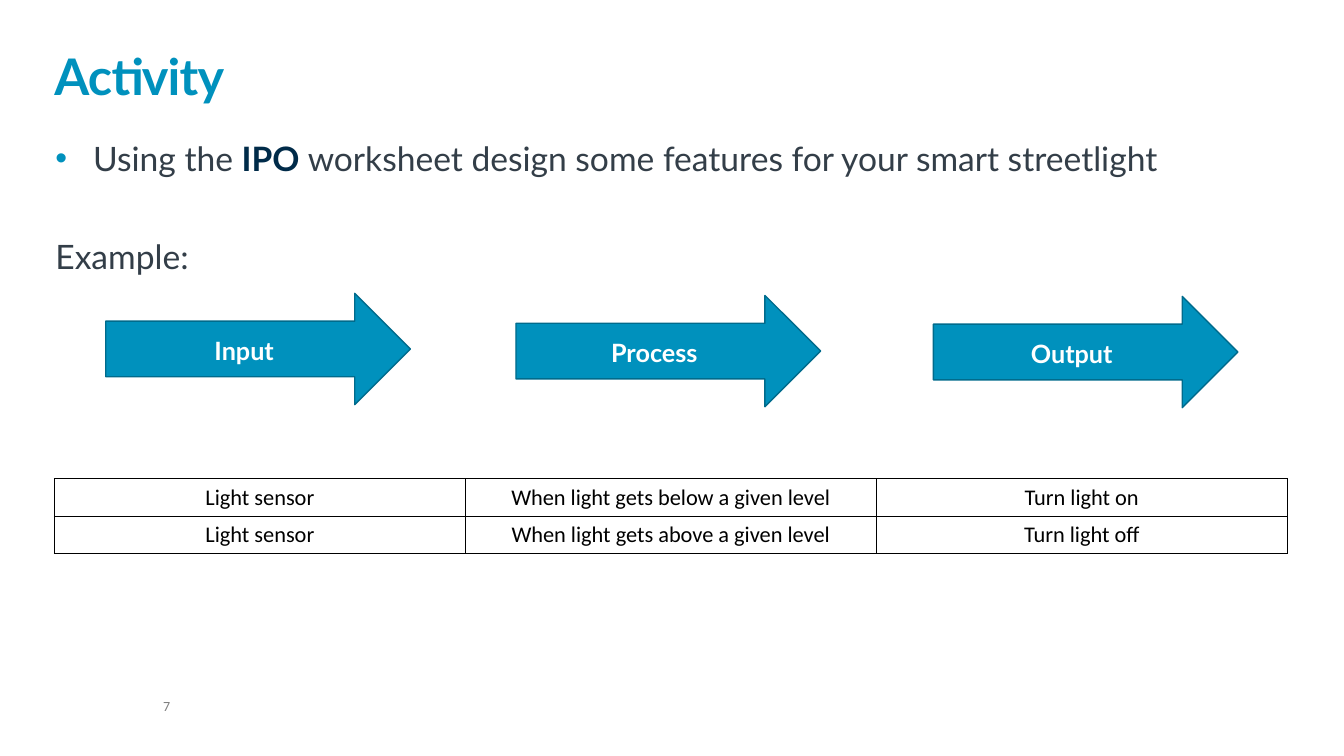
import pptx
import pptx.dml.color
import pptx.enum.shapes
import pptx.enum.text
import pptx.oxml
import pptx.oxml.ns
import pptx.util

Pt = pptx.util.Pt
RGBColor = pptx.dml.color.RGBColor
PP_ALIGN = pptx.enum.text.PP_ALIGN
MSO_ANCHOR = pptx.enum.text.MSO_ANCHOR

BLUE = RGBColor(0x00, 0x91, 0xBD)
DARK_BLUE = RGBColor(0x00, 0x6B, 0x8C)
NAVY = RGBColor(0x00, 0x2B, 0x49)
SLATE = RGBColor(0x33, 0x3E, 0x48)
GRAY = RGBColor(0x7F, 0x7F, 0x7F)
BLACK = RGBColor(0, 0, 0)
WHITE = RGBColor(0xFF, 0xFF, 0xFF)

ARROWS = [("Input", 75.6, 209.5), ("Process", 368.6, 211), ("Output", 666.7, 211.7)]
ROWS = [
    ("Light sensor", "When light gets below a given level", "Turn light on"),
    ("Light sensor", "When light gets above a given level", "Turn light off"),
]


def add_xml(parent, xml):
    ns = pptx.oxml.ns.nsdecls("a")
    parent.append(pptx.oxml.parse_xml(xml.replace(">", f" {ns}>", 1)))


def add_run(p, text, size=24, font="Lato", color=SLATE, bold=False, spacing=None):
    """Spacing is in hundredths of a point."""
    r = p.add_run()
    r.text = text
    r.font.size = Pt(size)
    r.font.name = font
    r.font.color.rgb = color
    r.font.bold = bold
    if spacing is not None:
        r.font._element.set("spc", str(spacing))
    return r


def add_bullet(p, indent, color):
    pPr = p._p.get_or_add_pPr()
    pPr.set("marL", str(Pt(indent)))
    pPr.set("indent", str(-Pt(indent)))
    add_xml(pPr, f'<a:buClr><a:srgbClr val="{color}"/></a:buClr>')
    add_xml(pPr, '<a:buFont typeface="Arial"></a:buFont>')
    add_xml(pPr, '<a:buChar char="•"></a:buChar>')


class SlideBuilder:
    def __init__(self, prs):
        self.s = prs.slides.add_slide(prs.slide_layouts[6])

    def text_box(self, x, y, w, h, anchor=MSO_ANCHOR.TOP):
        tf = self.s.shapes.add_textbox(Pt(x), Pt(y), Pt(w), Pt(h)).text_frame
        tf.word_wrap = True
        tf.vertical_anchor = anchor
        tf.margin_left = tf.margin_right = tf.margin_top = tf.margin_bottom = 0
        return tf

    def arrow(self, text, x, y):
        kind = pptx.enum.shapes.MSO_SHAPE.RIGHT_ARROW
        sp = self.s.shapes.add_shape(kind, Pt(x), Pt(y), Pt(217.6), Pt(79.5))
        sp.shadow.inherit = False
        sp.fill.solid()
        sp.fill.fore_color.rgb = BLUE
        sp.line.color.rgb = DARK_BLUE
        sp.line.width = Pt(1)
        tf = sp.text_frame
        tf.word_wrap = True
        tf.vertical_anchor = MSO_ANCHOR.MIDDLE
        p = tf.paragraphs[0]
        p.alignment = PP_ALIGN.CENTER
        p.line_spacing = 1.07
        p.space_after = Pt(8)
        add_run(p, text, size=18, color=WHITE, bold=True)

    def table(self, rows, x, y, w, row_height):
        frame = self.s.shapes.add_table(len(rows), len(rows[0]), Pt(x), Pt(y),
                                        Pt(w), Pt(row_height * len(rows)))
        table = frame.table
        table.first_row = table.horz_banding = False
        for i, texts in enumerate(rows):
            table.rows[i].height = Pt(row_height)
            for j, text in enumerate(texts):
                self.cell(table.cell(i, j), text)

    def cell(self, cell, text):
        p = cell.text_frame.paragraphs[0]
        p.alignment = PP_ALIGN.CENTER
        add_run(p, text, size=16, font="Calibri", color=BLACK)
        tcPr = cell._tc.get_or_add_tcPr()
        for side in ("lnL", "lnR", "lnT", "lnB"):
            add_xml(tcPr, f'<a:{side} w="{Pt(1)}"><a:solidFill><a:srgbClr val="{BLACK}"/>'
                          f'</a:solidFill></a:{side}>')
        cell.fill.background()


def main():
    prs = pptx.Presentation()
    prs.slide_width, prs.slide_height = Pt(960), Pt(540)
    slide = SlideBuilder(prs)

    p = slide.text_box(116.6, 499.7, 85.7, 10.8).paragraphs[0]
    p.line_spacing = 0.9
    add_run(p, "7", size=10, font="Calibri", color=GRAY)

    p = slide.text_box(38.9, 23, 880.6, 52.6, MSO_ANCHOR.BOTTOM).paragraphs[0]
    p.line_spacing = 0.85
    add_run(p, "Activity", size=36, color=BLUE, bold=True, spacing=-50)

    body = slide.text_box(39.6, 98.6, 880.6, 343.4)
    p = body.paragraphs[0]
    add_bullet(p, 27, BLUE)
    add_run(p, "Using the ")
    add_run(p, "IPO ", color=NAVY, bold=True)
    add_run(p, "worksheet design some features for your smart streetlight")
    p = body.add_paragraph()
    p.space_before = Pt(40.8)
    add_run(p, "Example:")

    slide.table(ROWS, 38.9, 342, 880.6, 26.8)
    for arrow in ARROWS:
        slide.arrow(*arrow)

    prs.save("out.pptx")


if __name__ == "__main__":
    main()
